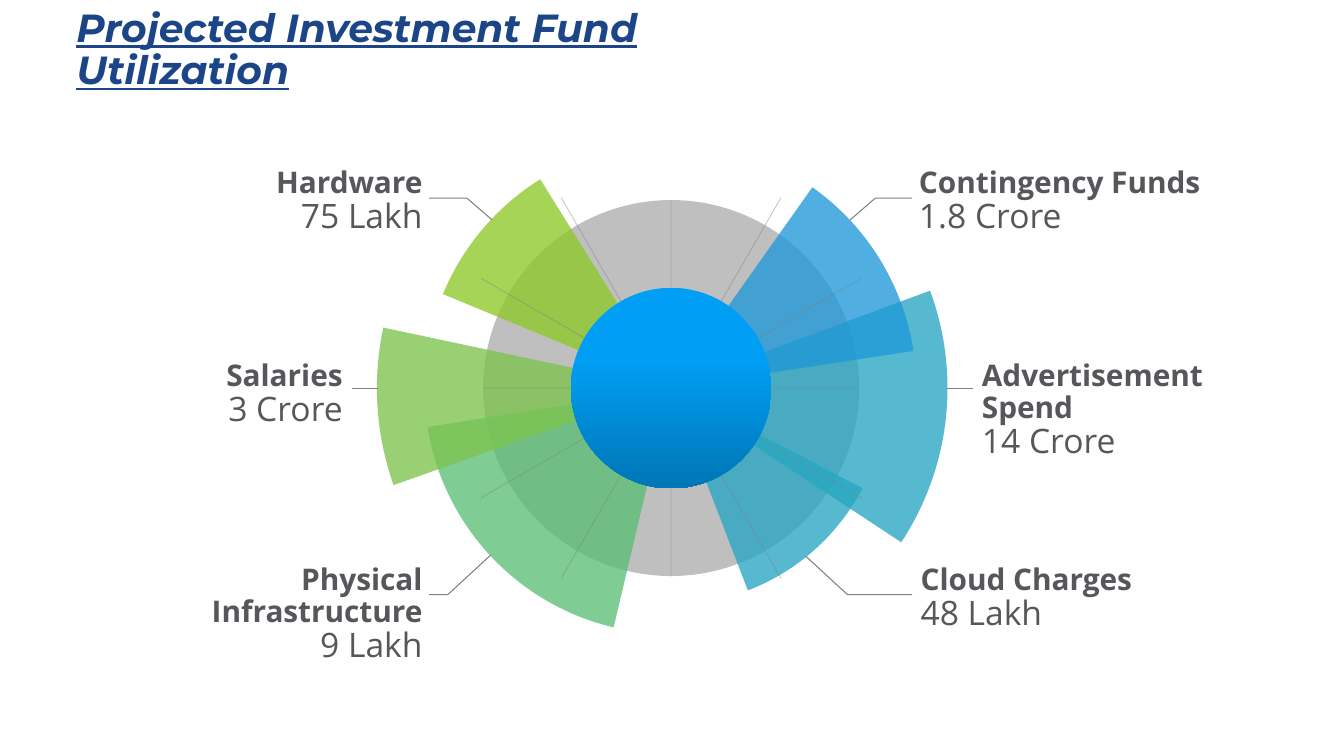
from dataclasses import dataclass
from math import cos, radians, sin

from lxml.etree import SubElement
from pptx import Presentation
from pptx.dml.color import RGBColor as Rgb
from pptx.enum.shapes import MSO_CONNECTOR as Connector, MSO_SHAPE as Shape
from pptx.enum.text import MSO_ANCHOR as Anchor, PP_ALIGN as Align
from pptx.oxml.ns import qn
from pptx.util import Inches, Pt

COLUMNS, ROWS = 160, 90
CENTER = (79.9, 46.2)


@dataclass(frozen=True)
class Theme:
    title_font: str = "Montserrat"
    body_font: str = "Open Sans"
    title_size: float = 28
    name_size: float = 21.3
    amount_size: float = 24
    title: str = "1C4587"
    text: str = "57565A"
    gray: str = "808080"
    hub_top: str = "009FF5"
    hub_bottom: str = "0076B5"
    lime: str = "8DC928"
    leaf: str = "7EC44E"
    mint: str = "5BBE77"
    teal: str = "27A6C2"
    blue: str = "2099D8"
    wedge_opacity: int = 78
    soft_opacity: int = 50
    spoke_width: float = 0.5
    leader_width: float = 0.75


class Board:
    """Draws themed elements on one slide, measured in grid columns and rows."""

    def __init__(self, deck, page, theme):
        self.page, self.theme = page, theme
        self.cell_width = deck.slide_width / COLUMNS
        self.cell_height = deck.slide_height / ROWS

    def place(self, column, row):
        return round(column * self.cell_width), round(row * self.cell_height)

    def fade(self, fill, opacity):
        color = fill._xPr.find(".//" + qn("a:srgbClr"))
        SubElement(color, qn("a:alpha"), val=str(opacity * 1000))

    def round_shape(self, kind, center, radius):
        corner = self.place(center[0] - radius, center[1] - radius)
        shape = self.page.shapes.add_shape(kind, *corner, *self.place(2 * radius, 2 * radius))
        shape.shadow.inherit = False
        shape.line.fill.background()
        return shape

    def paint(self, shape, color, opacity):
        shape.fill.solid()
        shape.fill.fore_color.rgb = Rgb.from_string(color)
        self.fade(shape.fill, opacity)

    def disc(self, radius):
        shape = self.round_shape(Shape.OVAL, CENTER, radius)
        self.paint(shape, self.theme.gray, self.theme.soft_opacity)

    def wedge(self, center, radius, start, end, color):
        shape = self.round_shape(Shape.PIE, center, radius)
        for index, degrees in enumerate((start, end)):
            shape.adjustments[index] = degrees * 0.6
        self.paint(shape, color, self.theme.wedge_opacity)

    def hub(self, radius):
        fill = self.round_shape(Shape.OVAL, CENTER, radius).fill
        fill.gradient()
        fill.gradient_angle = 270
        stops = ((0.35, self.theme.hub_top), (1, self.theme.hub_bottom))
        for stop, (position, color) in zip(fill.gradient_stops, stops):
            stop.position = position
            stop.color.rgb = Rgb.from_string(color)

    def stroke(self, line, width):
        line.width = Pt(width)
        line.color.rgb = Rgb.from_string(self.theme.gray)

    def segment(self, start, end, width):
        line = self.page.shapes.add_connector(
            Connector.STRAIGHT, *self.place(*start), *self.place(*end))
        self.stroke(line.line, width)
        SubElement(line._element.spPr, qn("a:effectLst"))
        return line

    def spoke(self, degrees, radius):
        across, down = radius * cos(radians(degrees)), radius * sin(radians(degrees))
        line = self.segment((CENTER[0] + across, CENTER[1] + down),
                            (CENTER[0] - across, CENTER[1] - down), self.theme.spoke_width)
        self.fade(line.line.fill, self.theme.soft_opacity)

    def leader(self, points):
        if len(points) == 2:
            self.segment(*points, self.theme.leader_width)
            return
        first, *rest = [self.place(*point) for point in points]
        builder = self.page.shapes.build_freeform(*first)
        builder.add_line_segments(rest, close=False)
        shape = builder.convert_to_shape()
        shape.shadow.inherit = False
        shape.fill.background()
        self.stroke(shape.line, self.theme.leader_width)

    def text_frame(self, column, row, width, height, anchor=Anchor.TOP):
        box = self.page.shapes.add_textbox(*self.place(column, row), *self.place(width, height))
        frame = box.text_frame
        frame.word_wrap = True
        frame.vertical_anchor = anchor
        frame.margin_left = frame.margin_right = frame.margin_top = frame.margin_bottom = 0
        return frame

    def set_text(self, para, text, font, size, color, bold, spacing):
        para.text = text
        para.line_spacing = spacing
        para.font.name = font
        para.font.size = Pt(size)
        para.font.bold = bold
        para.font.color.rgb = Rgb.from_string(color)

    def title(self, text):
        theme = self.theme
        para = self.text_frame(9.1, 1.4, 91.1, 9.7, Anchor.BOTTOM).paragraphs[0]
        self.set_text(para, text, theme.title_font, theme.title_size, theme.title, True, 0.9)
        para.font.italic = para.font.underline = True

    def label(self, name, amount, column, row, width, height, align):
        theme = self.theme
        frame = self.text_frame(column, row, width, height)
        lines = ((frame.paragraphs[0], name, theme.name_size, True),
                 (frame.add_paragraph(), amount, theme.amount_size, False))
        for para, text, size, bold in lines:
            para.alignment = align
            self.set_text(para, text, theme.body_font, size, theme.text, bold, 0.89)


def main():
    deck = Presentation()
    deck.slide_width, deck.slide_height = Inches(13.33), Inches(7.5)
    page = deck.slides.add_slide(deck.slide_layouts[6])
    theme = Theme()
    board = Board(deck, page, theme)

    board.title("Projected Investment Fund Utilization")
    board.disc(22.38)
    wedges = (
        (79.8, 29.28, 202.46, 238.08, theme.lime),
        (79.8, 29.28, 103.32, 170.88, theme.mint),
        (79.44, 33.36, 339.66, 33.4, theme.teal),
        (79.8, 29.28, 305.28, 351.32, theme.blue),
        (79.5, 34.62, 160.5, 192, theme.leaf),
        (79.8, 25.8, 27.54, 69.03, theme.teal),
    )
    for column, *wedge in wedges:
        board.wedge((column, CENTER[1]), *wedge)
    for degrees in range(0, 180, 30):
        board.spoke(degrees, 26.18 if degrees % 90 else 22.38)
    board.hub(11.94)

    labels = (
        ("Contingency Funds", "1.8 Crore", 109.4, 20, 37.8, 8.2, Align.LEFT,
         ((101.2, 26.2), (104.2, 23.6), (108.6, 23.6))),
        ("Cloud Charges", "48 Lakh", 109.6, 67.3, 28.6, 8.2, Align.LEFT,
         ((95.9, 66.2), (100.9, 70.8), (108.6, 70.8))),
        ("Advertisement Spend", "14 Crore", 116.9, 43, 28.6, 12, Align.LEFT,
         ((112.7, 46.2), (115.8, 46.2))),
        ("Physical Infrastructure", "9 Lakh", 21.7, 67.3, 28.6, 12, Align.RIGHT,
         ((58.4, 66.1), (53.3, 70.8), (51.1, 70.8))),
        ("Salaries", "3 Crore", 12.2, 43, 28.6, 8.2, Align.RIGHT,
         ((41.9, 46.2), (45, 46.2))),
        ("Hardware", "75 Lakh", 21.7, 20, 28.6, 8.2, Align.RIGHT,
         ((58.6, 26.2), (55.6, 23.6), (51.1, 23.6))),
    )
    for *label, points in labels:
        board.label(*label)
        board.leader(points)
    deck.save("out.pptx")


if __name__ == "__main__":
    main()
